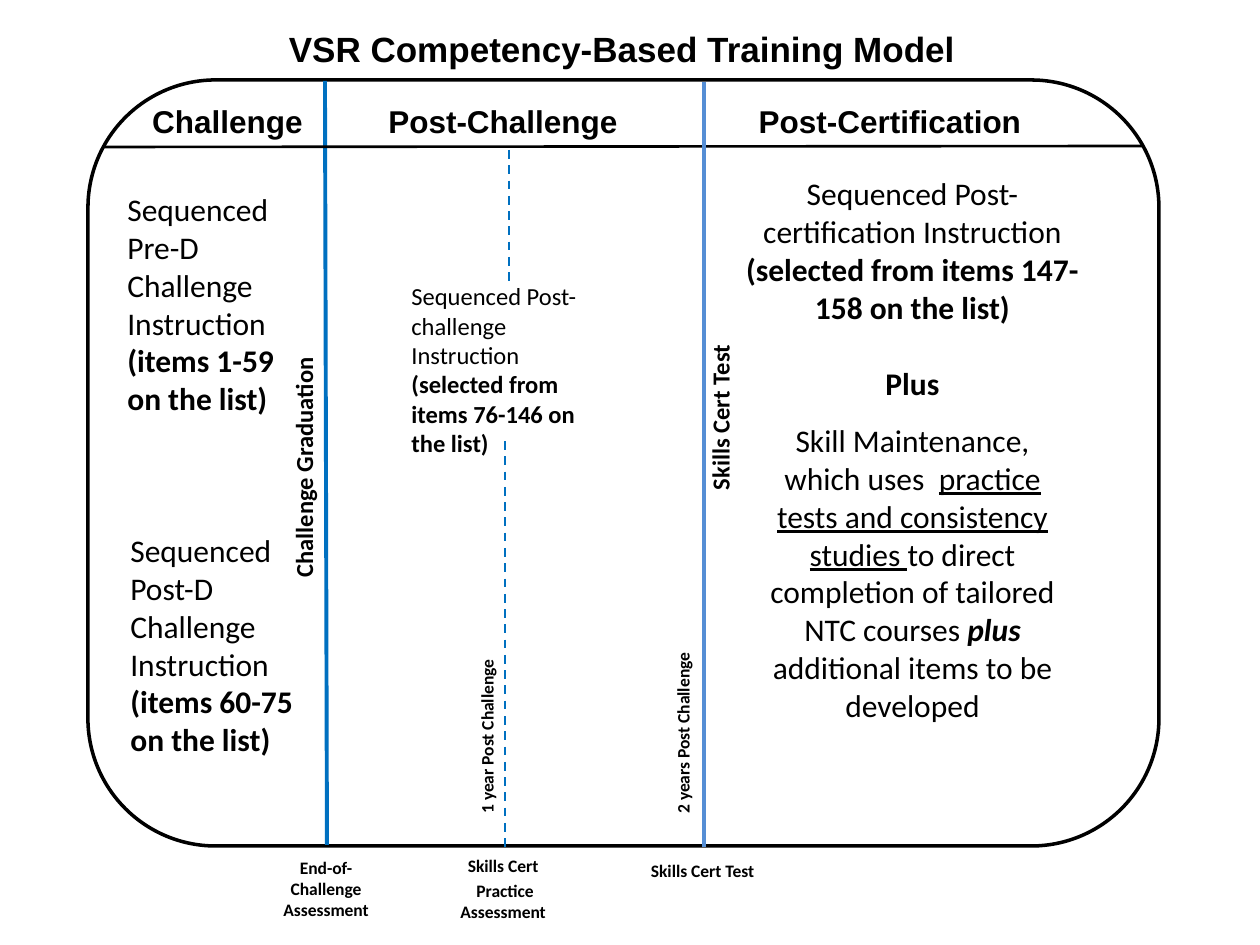
from dataclasses import dataclass
from lxml import etree
from pptx import Presentation
from pptx.dml.color import RGBColor
from pptx.enum.dml import MSO_LINE
from pptx.enum.shapes import MSO_CONNECTOR, MSO_SHAPE
from pptx.enum.text import MSO_ANCHOR, MSO_AUTO_SIZE, PP_ALIGN
from pptx.oxml.ns import qn
from pptx.util import Inches, Pt

PIXEL = Inches(1) / 126
LEFT, CENTER = PP_ALIGN.LEFT, PP_ALIGN.CENTER
TOP, NO_FIT = MSO_ANCHOR.TOP, MSO_AUTO_SIZE.NONE
DASH, STRAIGHT = MSO_LINE.DASH, MSO_CONNECTOR.STRAIGHT
ROUNDED = MSO_SHAPE.ROUNDED_RECTANGLE
PLAIN, BOLD, UNDERLINE, BOLD_ITALIC = "", "b", "u", "bi"


@dataclass(frozen=True)
class Theme:
    ink: str = "000000"
    paper: str = "FFFFFF"
    blue: str = "0070C0"
    light_blue: str = "558ED5"
    heading_font: str = "Arial"
    body_font: str = "Calibri"
    title: int = 20
    large: int = 18
    medium: int = 14
    small: int = 10


class SlideBuilder:
    def __init__(self, slide, theme):
        self.slide = slide
        self.theme = theme

    def emu(self, *lengths):
        return [round(length * PIXEL) for length in lengths]

    def fill_text(self, frame, paragraphs, size, font, align, gaps):
        frame.word_wrap = True
        frame.auto_size = NO_FIT
        frame.vertical_anchor = TOP
        for index, runs in enumerate(paragraphs):
            paragraph = frame.paragraphs[0] if index == 0 else frame.add_paragraph()
            paragraph.alignment = align
            paragraph.space_before = Pt(gaps[index] if gaps else 0)
            for text, style in runs:
                run = paragraph.add_run()
                run.text = text
                run.font.name = font
                run.font.size = Pt(size)
                run.font.color.rgb = RGBColor.from_string(self.theme.ink)
                run.font.bold = "b" in style
                run.font.italic = "i" in style
                run.font.underline = "u" in style

    def title(self, box, text):
        shape = self.slide.shapes.title
        shape.left, shape.top, shape.width, shape.height = self.emu(*box)
        self.fill_text(shape.text_frame, [[(text, BOLD)]], self.theme.title,
                       self.theme.heading_font, CENTER, None)

    def text(self, box, paragraphs, size, font=None, align=CENTER, gaps=None, rotation=0):
        shape = self.slide.shapes.add_textbox(*self.emu(*box))
        shape.rotation = rotation
        self.fill_text(shape.text_frame, paragraphs, size,
                       font or self.theme.body_font, align, gaps)

    def frame(self, box, width):
        shape = self.slide.shapes.add_shape(ROUNDED, *self.emu(*box))
        shape.shadow.inherit = False
        shape.fill.solid()
        shape.fill.fore_color.rgb = RGBColor.from_string(self.theme.paper)
        shape.line.color.rgb = RGBColor.from_string(self.theme.ink)
        shape.line.width = Pt(width)

    def line(self, ends, color, width, dash=None):
        connector = self.slide.shapes.add_connector(STRAIGHT, *self.emu(*ends))
        connector.line.color.rgb = RGBColor.from_string(color)
        connector.line.width = Pt(width)
        if dash:
            connector.line.dash_style = dash
        etree.SubElement(connector.element.spPr, qn("a:effectLst"))


presentation = Presentation()
presentation.slide_width, presentation.slide_height = Inches(10), Inches(7.5)
theme = Theme()
builder = SlideBuilder(presentation.slides.add_slide(presentation.slide_layouts[5]), theme)

builder.frame((88, 80, 1071, 766), 2)
builder.title((-8, 21, 1260, 55), "VSR Competency-Based Training Model")

for ends, color, width, dash in [
    ((325, 81, 327, 845), theme.blue, 2.25, None),
    ((104, 147, 1144, 146), theme.ink, 1.5, None),
    ((704, 82, 704, 847), theme.light_blue, 2, None),
    ((505, 441, 505, 848), theme.blue, 1.25, DASH),
    ((509, 150, 509, 282), theme.blue, 1.25, DASH),
]:
    builder.line(ends, color, width, dash)

for left, width, heading in [
    (123, 209, "Challenge"),
    (275, 456, "Post-Challenge"),
    (650, 480, "Post-Certification"),
]:
    builder.text((left, 96, width, 50), [[(heading, BOLD)]], theme.large, theme.heading_font)

for box, lead, items, size in [
    ((115, 184, 203, 242), "Sequenced Pre-D Challenge Instruction ",
     "(items 1-59 on the list)", theme.large),
    ((118, 525, 203, 242), "Sequenced Post-D Challenge Instruction ",
     "(items 60-75 on the list)", theme.large),
    ((399, 275, 223, 220), "Sequenced Post-challenge Instruction ",
     "(selected from items 76-146 on the list)", theme.medium),
]:
    builder.text(box, [[(lead, PLAIN), (items, BOLD)]], size, align=LEFT)

builder.text((723, 168, 379, 242), [
    [("Sequenced Post-certification Instruction ", PLAIN),
     ("(selected from items 147-158 on the list)", BOLD)],
    [("Plus", BOLD)],
], theme.large, gaps=(0, 22))
builder.text((753, 415, 319, 391), [[
    ("Skill Maintenance, which uses  ", PLAIN),
    ("practice tests and consistency studies ", UNDERLINE),
    ("to direct completion of tailored NTC courses ", PLAIN),
    ("plus ", BOLD_ITALIC),
    ("additional items to be developed", PLAIN),
]], theme.large)

for box, label, size, align, gap in [
    ((166, 446, 276, 43), "Challenge Graduation", theme.medium, CENTER, 0),
    ((592, 396, 257, 43), "Skills Cert Test", theme.medium, CENTER, 0),
    ((391, 713, 192, 34), "1 year Post Challenge", theme.small, LEFT, 2),
    ((587, 713, 192, 34), "2 years Post Challenge", theme.small, LEFT, 2),
]:
    builder.text(box, [[(label, BOLD)]], size, align=align, gaps=(gap,), rotation=270)

for box, lines in [
    ((261, 851, 130, 77), ["End-of-Challenge Assessment"]),
    ((440, 849, 130, 81), ["Skills Cert ", "Practice Assessment "]),
    ((610, 854, 189, 34), ["Skills Cert Test "]),
]:
    builder.text(box, [[(line, BOLD)] for line in lines], theme.small, gaps=(2, 2))

presentation.save("out.pptx")
